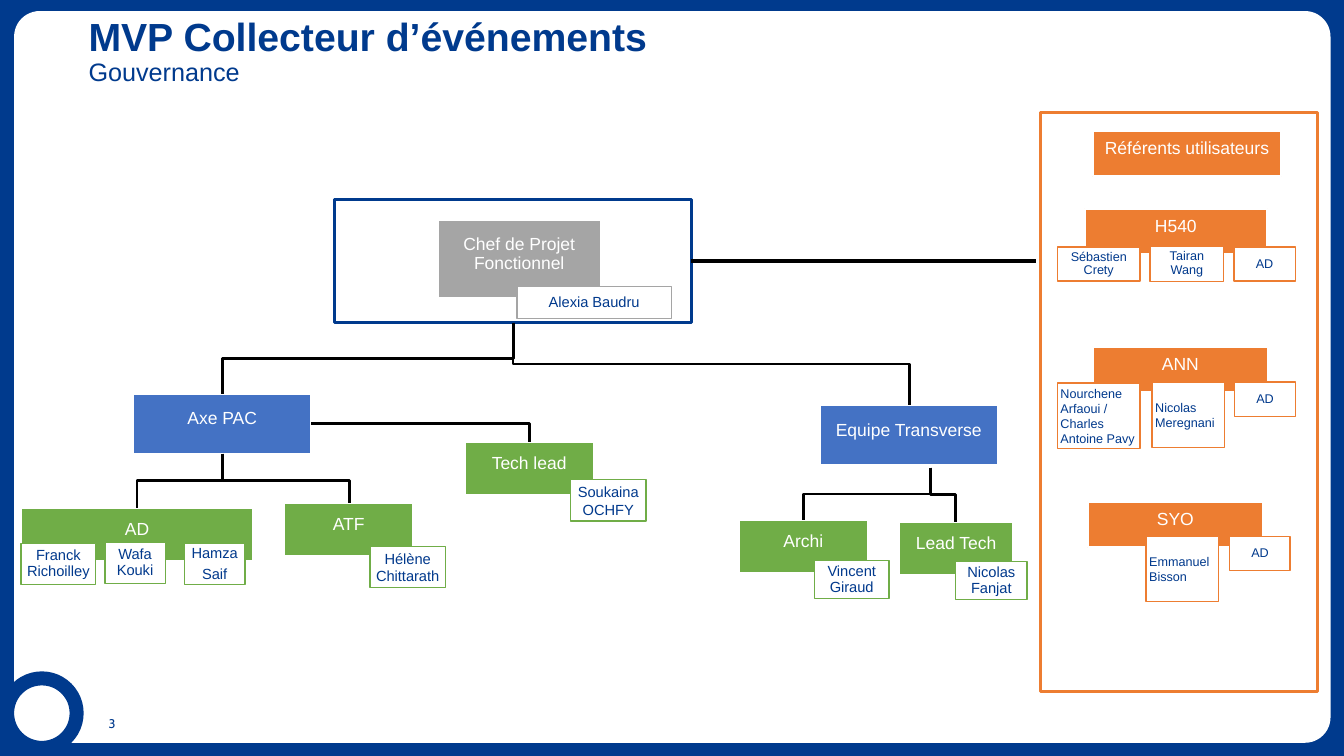
import pptx
import pptx.util
import pptx.dml.color
import pptx.enum.shapes
import pptx.enum.text
import pptx.oxml
import pptx.oxml.ns
from dataclasses import dataclass

SHAPE = pptx.enum.shapes.MSO_SHAPE
LINK = pptx.enum.shapes.MSO_CONNECTOR
ALIGN = pptx.enum.text.PP_ALIGN
ANCHOR = pptx.enum.text.MSO_ANCHOR
TOP, LEFT, BOTTOM, RIGHT = range(4)


@dataclass(frozen=True)
class Theme:
    navy: str = "003A8D"
    ink: str = "01398C"
    white: str = "FFFFFF"
    black: str = "000000"
    grey: str = "A5A5A5"
    blue: str = "4472C4"
    green: str = "70AD47"
    orange: str = "ED7D31"
    font: str = "Arial"
    number_font: str = "Cabin"
    title: float = 28
    subtitle: float = 18
    role: float = 12.5
    name: float = 10.5
    small: float = 9


T = Theme()

# Name tag formats: tight centred, open centred, left-aligned list
TIGHT = dict(spacing=0.9, after=0.35)
OPEN = dict()
LIST = dict(align=ALIGN.LEFT)

# Boxes: key, label, colour, (column, row, columns, rows)
BOXES = [
    ("chef", "Chef de Projet Fonctionnel", T.grey, (43.4, 21.8, 16.2, 7.8)),
    ("pac", "Axe PAC", T.blue, (13.2, 39.1, 17.7, 5.9)),
    ("equipe", "Equipe Transverse", T.blue, (81.3, 40.2, 17.7, 5.9)),
    ("ad", "AD", T.green, (2.1, 50.4, 23, 5.3)),
    ("atf", "ATF", T.green, (28.2, 49.9, 12.8, 5.3)),
    ("tech", "Tech lead", T.green, (46.1, 43.8, 12.8, 5.3)),
    ("archi", "Archi", T.green, (73.3, 51.6, 12.8, 5.3)),
    ("lead", "Lead Tech", T.green, (89.2, 51.8, 11.3, 5.3)),
    ("users", "Référents utilisateurs", T.orange, (108.4, 13, 18.7, 4.5)),
    ("h540", "H540", T.orange, (107.6, 20.7, 18.1, 4.5)),
    ("ann", "ANN", T.orange, (108.4, 34.4, 17.4, 4.5)),
    ("syo", "SYO", T.orange, (107.9, 49.8, 17.4, 4.5)),
]

# Name tags: colour, type size, then text, place and format
TAGS = [
    (T.grey, T.name, [("Alexia Baudru", (51.3, 28.4, 15.3, 3.2), TIGHT)]),
    (T.green, T.name, [
        ("Franck Richoilley", (2.1, 53.9, 7.4, 4.1), TIGHT),
        ("Wafa Kouki", (10.4, 53.8, 6, 4.1), TIGHT),
        ("Hamza\nSaif", (18.3, 53.9, 6, 4.1), TIGHT),
        ("Hélène\nChittarath", (36.7, 54.2, 7.5, 4.1), OPEN),
        ("Soukaina OCHFY", (56.6, 47.6, 7.5, 4.1), OPEN),
        ("Vincent Giraud", (80.8, 55.6, 7.4, 3.8), TIGHT),
        ("Nicolas Fanjat", (94.8, 55.7, 7.1, 3.8), TIGHT),
    ]),
    (T.orange, T.small, [
        ("Sébastien Crety", (104.9, 24.5, 8.2, 3.4), TIGHT),
        ("Tairan Wang", (114.1, 24.4, 7.3, 3.5), TIGHT),
        ("AD", (122.4, 24.5, 6.1, 3.4), TIGHT),
        ("Nourchene Arfaoui / Charles Antoine Pavy", (104.9, 38, 8.2, 6.5), LIST),
        ("Nicolas Meregnani", (114.3, 37.9, 7.2, 6.5), LIST),
        ("AD", (122.5, 37.9, 6, 3.4), TIGHT),
        ("Emmanuel\nBisson", (113.7, 53.2, 7.2, 6.5), LIST),
        ("AD", (122, 53.2, 6, 3.4), TIGHT),
    ]),
]


def cell(n):
    """Length of n grid cells; columns and rows are a tenth of an inch."""
    return pptx.util.Inches(round(n / 10, 3))


def rgb(color):
    return pptx.dml.color.RGBColor.from_string(color)


def write(sp, text, size=T.role, color=T.white, bold=False, font=T.font,
          align=ALIGN.CENTER, spacing=1.0, after=0, inset=(0.1, 0.1, 0.1, 0.1),
          subtitle=None):
    tf = sp.text_frame
    tf.word_wrap = True
    tf.vertical_anchor = ANCHOR.MIDDLE
    tf.margin_left, tf.margin_top, tf.margin_right, tf.margin_bottom = (
        cell(m) for m in inset)
    for i, line in enumerate(text.split("\n")):
        p = tf.add_paragraph() if i else tf.paragraphs[0]
        p.alignment = align
        p.line_spacing = spacing
        p.space_after = pptx.util.Pt(round(after * size, 1))
        runs = [(line, size, bold)]
        if subtitle:
            runs.append((subtitle, T.subtitle, False))
        for j, (words, points, heavy) in enumerate(runs):
            if j:
                p.add_line_break()
            r = p.add_run()
            r.text = words
            r.font.size = pptx.util.Pt(points)
            r.font.bold = heavy
            r.font.name = font
            r.font.color.rgb = rgb(color)


def shape(slide, place, fill=None, line=None, width=1, kind=SHAPE.RECTANGLE):
    sp = slide.shapes.add_shape(kind, *map(cell, place))
    sp.shadow.inherit = False
    if fill:
        sp.fill.solid()
        sp.fill.fore_color.rgb = rgb(fill)
    else:
        sp.fill.background()
    if line:
        sp.line.color.rgb = rgb(line)
        sp.line.width = pptx.util.Pt(width)
    else:
        sp.line.fill.background()
    return sp


def label(slide, place, text, **fmt):
    sp = slide.shapes.add_textbox(*map(cell, place))
    write(sp, text, **fmt)


def connector(slide, start, end, kind=LINK.ELBOW, width=2):
    c = slide.shapes.add_connector(kind, *map(cell, start + end))
    c.line.color.rgb = rgb(T.black)
    c.line.width = pptx.util.Pt(width)
    c._element.spPr.append(pptx.oxml.parse_xml(
        "<a:effectLst %s/>" % pptx.oxml.ns.nsdecls("a")))
    return c


def geometry(c):
    return c._element.spPr.find(pptx.oxml.ns.qn("a:prstGeom"))


def branch(slide, start, end, parent=None, child=None, turn=0.5):
    """Elbow that leaves downwards, crosses at share `turn`, then goes down."""
    c = connector(slide, start, end)
    if parent is not None:
        c.begin_connect(parent, BOTTOM)
    if child is not None:
        c.end_connect(child, TOP)
    (x1, y1), (x2, y2) = start, end
    across, down = abs(x2 - x1), y2 - y1
    c.left, c.top = cell((x1 + x2 - down) / 2), cell((y1 + y2 - across) / 2)
    c.width, c.height = cell(down), cell(across)
    xfrm = c._element.spPr.get_or_add_xfrm()
    xfrm.set("rot", str(90 * 60000))
    xfrm.set("flipH", "0")
    xfrm.set("flipV", "1" if x2 > x1 else "0")
    values = geometry(c).get_or_add_avLst()
    values.append(pptx.oxml.parse_xml(
        '<a:gd %s name="adj1" fmla="val %d"/>'
        % (pptx.oxml.ns.nsdecls("a"), turn * 100000)))


def main():
    prs = pptx.Presentation()
    prs.slide_width, prs.slide_height = cell(133.33), cell(75)
    slide = prs.slides.add_slide(prs.slide_layouts[6])

    # Navy surround, white page and corner ring
    slide.background.fill.solid()
    slide.background.fill.fore_color.rgb = rgb(T.navy)
    page = shape(slide, (1.4, 1.1, 130.6, 72.6), T.white,
                 kind=SHAPE.ROUNDED_RECTANGLE)
    page.adjustments[0] = 0.035
    shape(slide, (0.7, 67.3, 6.9, 6.9), T.white, T.navy, 10, SHAPE.OVAL)

    # Title and page number
    label(slide, (7.8, 0.1, 123.5, 10.2), "MVP Collecteur d’événements",
          subtitle="Gouvernance", size=T.title, color=T.navy, bold=True,
          align=ALIGN.LEFT, spacing=0.9, inset=(1, 0.5, 1, 0.5))
    label(slide, (9.8, 70.5, 5.7, 2.5), "3", size=T.small, color=T.navy,
          font=T.number_font, align=ALIGN.LEFT, inset=(1, 0.5, 1, 0.5))

    # Frames, role boxes
    frame = shape(slide, (33.2, 19.8, 35.4, 12.2), None, T.navy, 2.25)
    shape(slide, (103.2, 11.2, 27.5, 57.4), None, T.orange, 2.25)
    box = {}
    for key, text, color, place in BOXES:
        box[key] = shape(slide, place, color, T.white, 1.5)
        write(box[key], text, inset=(0.1, 0.1, 0.1, 1), **TIGHT)

    # Links
    branch(slide, (50.9, 32), (22.1, 39.1), frame, box["pac"])
    branch(slide, (50.9, 32), (90.2, 40.2), frame, box["equipe"])
    branch(slide, (22.1, 45), (13.6, 50.4), box["pac"], box["ad"])
    branch(slide, (22.1, 45), (34.7, 49.9), box["pac"], box["atf"], turn=0.54)
    branch(slide, (92.3, 46.4), (79.7, 51.6), child=box["archi"])
    branch(slide, (92.3, 46.4), (94.8, 51.8), child=box["lead"])
    corner = connector(slide, (30.9, 42.1), (52.5, 43.8))
    corner.begin_connect(box["pac"], RIGHT)
    corner.end_connect(box["tech"], TOP)
    geometry(corner).set("prst", "bentConnector2")
    users = connector(slide, (68.6, 25.9), (102.8, 25.9), LINK.STRAIGHT, 2.25)
    users.begin_connect(frame, RIGHT)

    # Name tags
    for color, size, tags in TAGS:
        for text, place, fmt in tags:
            write(shape(slide, place, T.white, color), text, size=size,
                  color=T.ink, inset=(0.3, 0.1, 0.3, 0.1), **fmt)

    prs.save("out.pptx")


if __name__ == "__main__":
    main()
